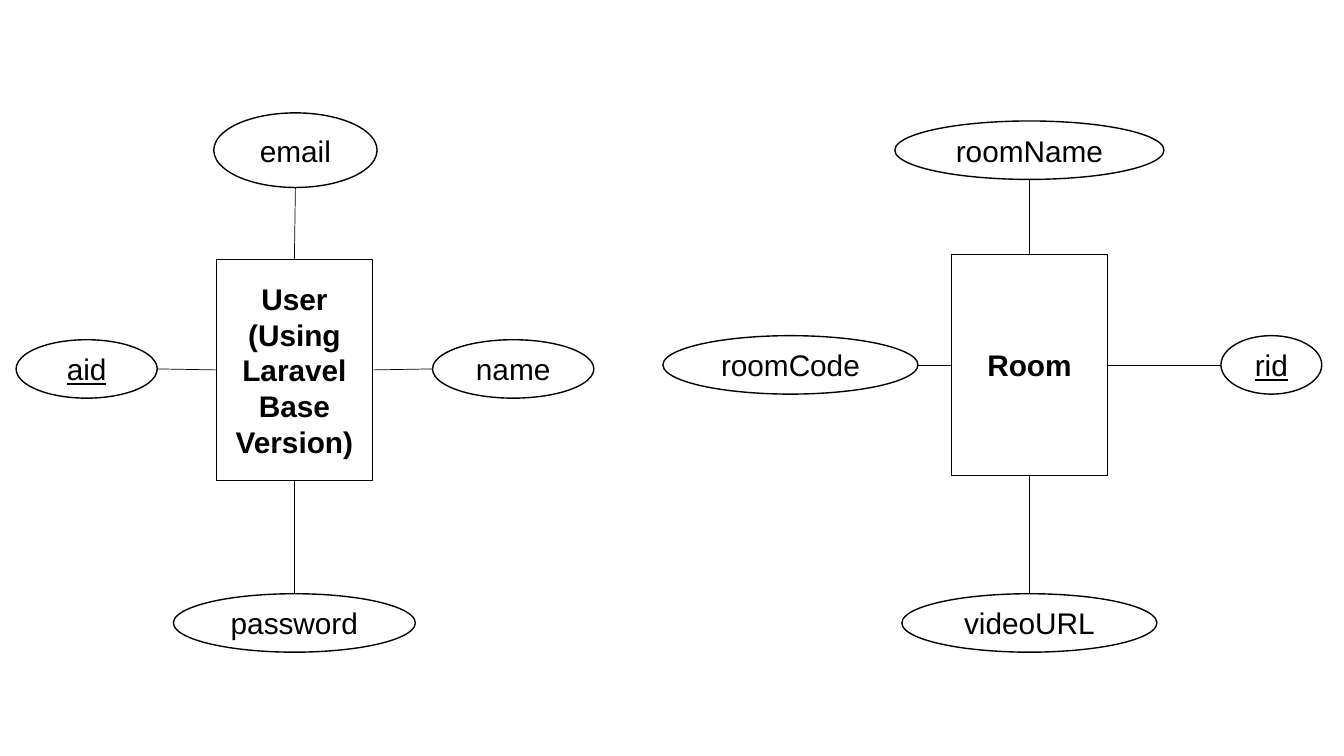
from dataclasses import dataclass

from pptx import Presentation
from pptx.dml.color import RGBColor
from pptx.enum.shapes import MSO_CONNECTOR, MSO_SHAPE
from pptx.enum.text import MSO_ANCHOR, PP_ALIGN
from pptx.oxml.ns import qn
from pptx.shapes.autoshape import Shape
from pptx.slide import Slide
from pptx.util import Inches, Pt

INK = "000000"
FONT = "Arial"
TEXT_SIZE = 21.3
ENTITY_WIDTH, ENTITY_HEIGHT = 1.55, 2.19
# Connection sites of a rectangle, and the step from an attribute's centre towards it
SITES = {"top": 0, "left": 1, "bottom": 2, "right": 3}
INWARD = {"top": (0, 1), "left": (1, 0), "bottom": (0, -1), "right": (-1, 0)}


@dataclass(frozen=True)
class Attribute:
    """An oval on one side of its entity, placed by its centre in inches."""
    name: str
    side: str
    x: float
    y: float
    width: float
    height: float = 0.58
    is_key: bool = False


@dataclass(frozen=True)
class Entity:
    """A rectangle placed by its centre, with its attributes."""
    name: str
    x: float
    y: float
    attributes: tuple[Attribute, ...]


ENTITIES = (
    Entity("User (Using Laravel Base Version)", 2.92, 3.67, (
        Attribute("email", "top", 2.93, 1.49, 1.62, 0.74),
        Attribute("aid", "left", 0.86, 3.66, 1.4, is_key=True),
        Attribute("password", "bottom", 2.92, 6.18, 2.4),
        Attribute("name", "right", 5.09, 3.66, 1.6),
    )),
    Entity("Room", 10.21, 3.62, (
        Attribute("roomName", "top", 10.21, 1.49, 2.67),
        Attribute("roomCode", "left", 7.84, 3.62, 2.53),
        Attribute("videoURL", "bottom", 10.21, 6.18, 2.53),
        Attribute("rid", "right", 12.61, 3.62, 1, is_key=True),
    )),
)


def color(value: str) -> RGBColor:
    """Turn a hex string into a colour."""
    return RGBColor.from_string(value)


def add_node(page: Slide, kind: MSO_SHAPE, name: str, x: float, y: float, width: float,
             height: float, bold: bool = False, underline: bool = False) -> Shape:
    """Draw an outlined shape around its centre, with centred text."""
    box = page.shapes.add_shape(kind, Inches(x - width / 2), Inches(y - height / 2),
                                Inches(width), Inches(height))
    box.shadow.inherit = False
    box.fill.background()
    box.line.color.rgb = color(INK)
    box.line.width = Pt(1)
    frame = box.text_frame
    frame.word_wrap = True
    frame.vertical_anchor = MSO_ANCHOR.MIDDLE
    para = frame.paragraphs[0]
    para.alignment = PP_ALIGN.CENTER
    span = para.add_run()
    span.text = name
    span.font.name = FONT
    span.font.size = Pt(TEXT_SIZE)
    span.font.bold = bold
    span.font.underline = underline
    span.font.color.rgb = color(INK)
    return box


def add_link(page: Slide, box: Shape, attribute: Attribute) -> None:
    """Join the entity's side to the nearest point of the attribute."""
    step_x, step_y = INWARD[attribute.side]
    end_x = Inches(attribute.x + step_x * attribute.width / 2)
    end_y = Inches(attribute.y + step_y * attribute.height / 2)
    link = page.shapes.add_connector(MSO_CONNECTOR.STRAIGHT, end_x, end_y, end_x, end_y)
    link.begin_connect(box, SITES[attribute.side])
    link.line.color.rgb = color(INK)
    link.line.width = Pt(0.5)
    properties = link._element.spPr
    properties.append(properties.makeelement(qn("a:effectLst"), {}))


def add_entity(page: Slide, entity: Entity) -> None:
    """Draw an entity with its attributes and links."""
    box = add_node(page, MSO_SHAPE.RECTANGLE, entity.name, entity.x, entity.y,
                   ENTITY_WIDTH, ENTITY_HEIGHT, bold=True)
    for attribute in entity.attributes:
        add_node(page, MSO_SHAPE.OVAL, attribute.name, attribute.x, attribute.y,
                 attribute.width, attribute.height, underline=attribute.is_key)
        add_link(page, box, attribute)


def main() -> None:
    """Build the deck with the two entity diagrams."""
    deck = Presentation()
    deck.slide_width = Inches(13.33)
    deck.slide_height = Inches(7.5)
    page = deck.slides.add_slide(deck.slide_layouts[6])
    for entity in ENTITIES:
        add_entity(page, entity)
    deck.save("out.pptx")


main()
